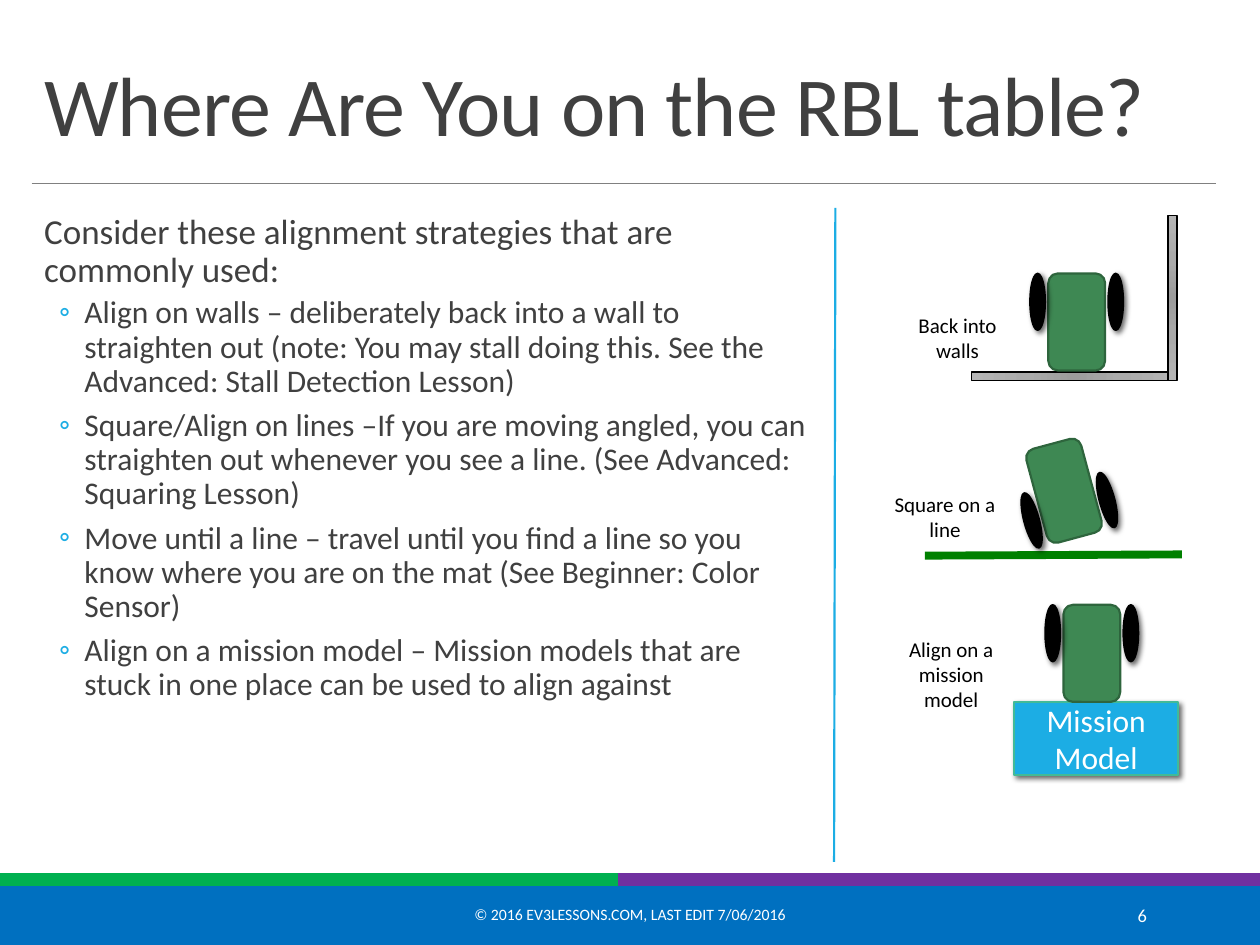
from math import cos, radians, sin

from pptx import Presentation
from pptx.dml.color import RGBColor
from pptx.enum import shapes as kinds, text as txt
from pptx.oxml import parse_xml
from pptx.oxml.ns import nsdecls
from pptx.util import Inches, Pt

FONT = "Calibri"
BLACK, WHITE, GREY, CYAN = "000000", "FFFFFF", "404040", "1CADE4"
RECT = kinds.MSO_SHAPE.RECTANGLE
LEFT, MID, RIGHT = txt.PP_ALIGN.LEFT, txt.PP_ALIGN.CENTER, txt.PP_ALIGN.RIGHT

TITLE = "Where Are You on the RBL table?"
INTRO = "Consider these alignment strategies that are commonly used:"
TIPS = [
    "Align on walls – deliberately back into a wall to straighten out "
    "(note: You may stall doing this. See the Advanced: Stall Detection Lesson)",
    "Square/Align on lines –If you are moving angled, you can straighten out "
    "whenever you see a line. (See Advanced: Squaring Lesson)",
    "Move until a line – travel until you find a line so you know where you "
    "are on the mat (See Beginner: Color Sensor)",
    "Align on a mission model – Mission models that are stuck in one place "
    "can be used to align against",
]
BANDS = [  # box, colour
    ((0, 7, 10, 0.5), "0070C0"),
    ((0, 6.93, 4.91, 0.1), "00B050"),
    ((4.91, 6.93, 5.09, 0.1), "7030A0"),
]
LINES = [  # start, end, colour, width
    ((0.25, 1.46), (9.65, 1.46), "808080", 0.5),
    ((9.38, 4.4), (7.34, 4.41), "008000", 4.5),
    ((6.62, 6.84), (6.63, 1.65), CYAN, 1.25),
]
WALLS = [((7.71, 2.95, 1.62, 0.07), 0), ((8.65, 2.33, 1.31, 0.07), 90)]
ROBOTS = [(8.445, 3.895, 344.9), (8.665, 5.185, 180), (8.545, 2.555, 180)]  # centre, turn
LABELS = [
    ((7.1, 2.43, 1, 0.5), "Back into walls"),
    ((7, 3.85, 1, 0.5), "Square on a line"),
    ((7.05, 5, 1, 0.71), "Align on a mission model"),
]
FOOT = [
    ((3.02, 7.06, 3.96, 0.4), "© 2016 EV3LESSONS.COM, LAST EDIT 7/06/2016", 9, MID),
    ((8.12, 7.06, 1.08, 0.4), "6", 10.5, RIGHT),
]


def rgb(code):
    return RGBColor.from_string(code)


def write(para, words, size, color, align=LEFT):
    para.alignment = align
    run = para.add_run()
    run.text = words
    run.font.name, run.font.size = FONT, Pt(size)
    run.font.color.rgb = rgb(color)
    return run


def add_box(box, words, size, color, align, anchor=txt.MSO_ANCHOR.TOP):
    frame = slide.shapes.add_textbox(*map(Inches, box)).text_frame
    frame.word_wrap = True
    frame.vertical_anchor = anchor
    write(frame.paragraphs[0], words, size, color, align)
    return frame


def add_form(home, kind, box, fill, line=None, width=1, turn=0):
    form = home.add_shape(kind, *map(Inches, box))
    form.shadow.inherit = False
    form.rotation = turn
    form.fill.solid()
    form.fill.fore_color.rgb = rgb(fill)
    form.line.color.rgb = rgb(line or fill)
    form.line.width = Pt(width)
    return form


def add_line(start, end, color, width):
    line = slide.shapes.add_connector(
        kinds.MSO_CONNECTOR.STRAIGHT, *map(Inches, start + end))
    line.line.color.rgb = rgb(color)
    line.line.width = Pt(width)
    line._element.spPr.append(parse_xml(f"<a:effectLst {nsdecls('a')}/>"))


def cast(form):
    """Give the shape a soft shadow to the lower right."""
    form._element.spPr.find("{*}effectLst").append(parse_xml(
        f'<a:outerShdw {nsdecls("a")} blurRad="{Pt(3)}" dist="{Pt(2)}" '
        'dir="2700000" algn="tl" rotWithShape="0">'
        '<a:srgbClr val="000000"><a:alpha val="60000"/></a:srgbClr></a:outerShdw>'))


def add_wall(box, turn):
    wall = add_form(slide.shapes, RECT, box, "AAAAAA", BLACK, 1, turn)
    stops = "".join(
        f'<a:gs pos="{pos}000"><a:srgbClr val="{code}"/></a:gs>'
        for pos, code in [(0, "9C9C9C"), (45, "AAAAAA"), (100, "B4B4B4")])
    props = wall._element.spPr
    props.replace(props.find("{*}solidFill"), parse_xml(
        f'<a:gradFill {nsdecls("a")}><a:gsLst>{stops}</a:gsLst><a:path path="circle">'
        '<a:fillToRect l="100000" t="100000" r="100000" b="100000"/>'
        '</a:path></a:gradFill>'))


def add_robot(x, y, turn):
    """Draw a body centred on x, y with a wheel on each side, turned as one."""
    home = slide.shapes.add_group_shape().shapes
    add_form(home, kinds.MSO_SHAPE.ROUNDED_RECTANGLE,
             (x - 0.225, y - 0.385, 0.45, 0.77), "3E8853", "2E653D", 1.25, turn)
    c, s = cos(radians(turn)), sin(radians(turn))
    for dx in (-0.31, 0.31):
        dy = 0.16
        mx, my = x + dx * c - dy * s, y + dx * s + dy * c
        cast(add_form(home, kinds.MSO_SHAPE.OVAL,
                      (mx - 0.06, my - 0.225, 0.12, 0.45), BLACK, turn=turn))


def add_tip(frame, words):
    para = frame.add_paragraph()
    props = para._p.get_or_add_pPr()
    props.set("marL", str(Inches(0.42)))
    props.set("indent", str(Inches(-0.2)))
    props.append(parse_xml(
        f'<a:buClr {nsdecls("a")}><a:srgbClr val="{CYAN}"/></a:buClr>'))
    props.append(parse_xml(f'<a:buFont {nsdecls("a")} typeface="{FONT}"/>'))
    props.append(parse_xml(f'<a:buChar {nsdecls("a")} char="◦"/>'))
    para.level = 1
    para.line_spacing = 0.9
    para.space_before, para.space_after = Pt(2), Pt(4)
    write(para, words, 18, GREY)


deck = Presentation()
deck.slide_width, deck.slide_height = Inches(10), Inches(7.5)
slide = deck.slides.add_slide(deck.slide_layouts[5])

for box, color in BANDS:
    add_form(slide.shapes, RECT, box, color, width=0.25)

title = slide.shapes.title
title.left, title.top, title.width, title.height = map(Inches, (0.25, 0.31, 9.4, 0.96))
title.text_frame.vertical_anchor = txt.MSO_ANCHOR.BOTTOM
title.text_frame.auto_size = txt.MSO_AUTO_SIZE.NONE
head = title.text_frame.paragraphs[0]
head.line_spacing = 0.85
write(head, TITLE, 48, GREY).font._element.set("spc", "-50")

body = add_box((0.25, 1.65, 6.15, 5.09), INTRO, 20, GREY, LEFT)
body.margin_left = body.margin_right = 0
intro = body.paragraphs[0]
intro._p.get_or_add_pPr().set("marL", str(Inches(0.1)))
intro.line_spacing, intro.space_after = 0.9, Pt(2)
for tip in TIPS:
    add_tip(body, tip)

for line in LINES:
    add_line(*line)

model = add_form(slide.shapes, RECT, (8.05, 5.57, 1.3, 0.58), CYAN, "42BA97")
cast(model)
model.text_frame.vertical_anchor = txt.MSO_ANCHOR.MIDDLE
write(model.text_frame.paragraphs[0], "Mission Model", 18, WHITE, MID)

for wall in WALLS:
    add_wall(*wall)
for robot in ROBOTS:
    add_robot(*robot)
for box, words in LABELS:
    add_box(box, words, 12, BLACK, MID)
for box, words, size, align in FOOT:
    add_box(box, words, size, WHITE, align, txt.MSO_ANCHOR.MIDDLE)

deck.save("out.pptx")
